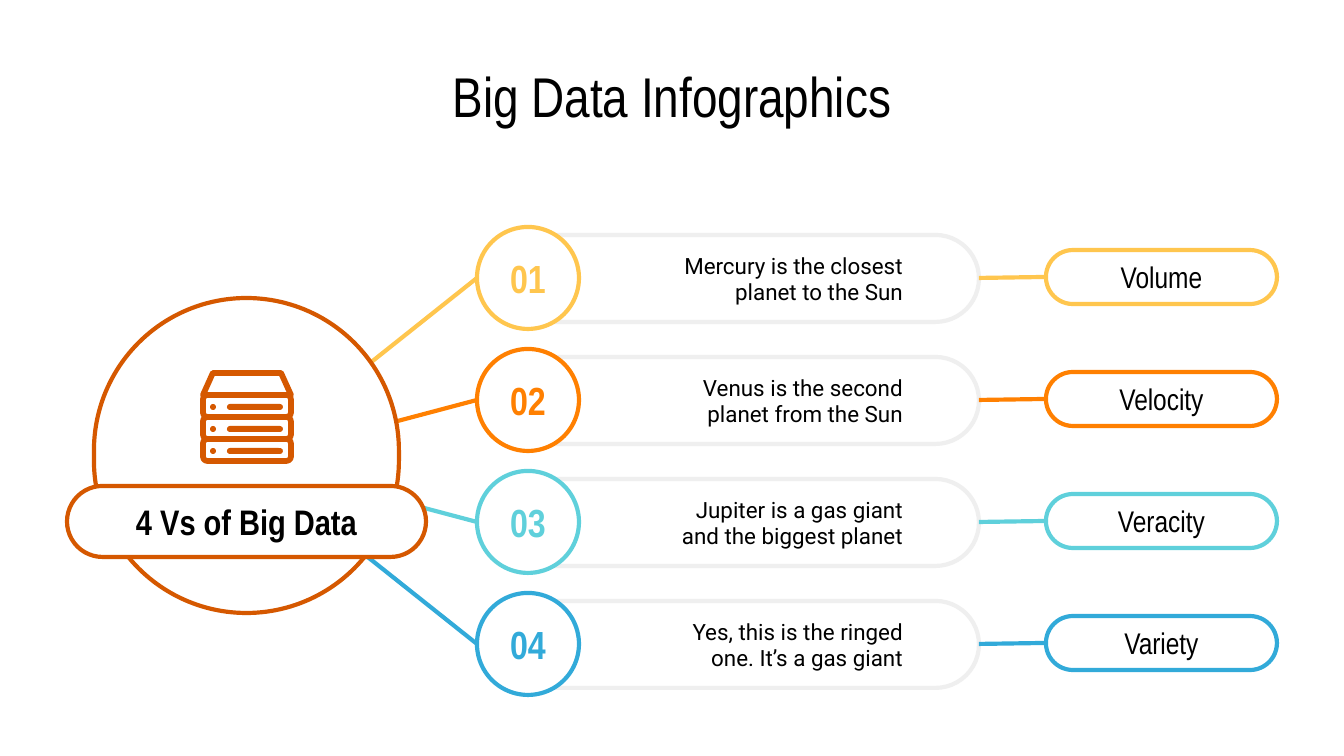
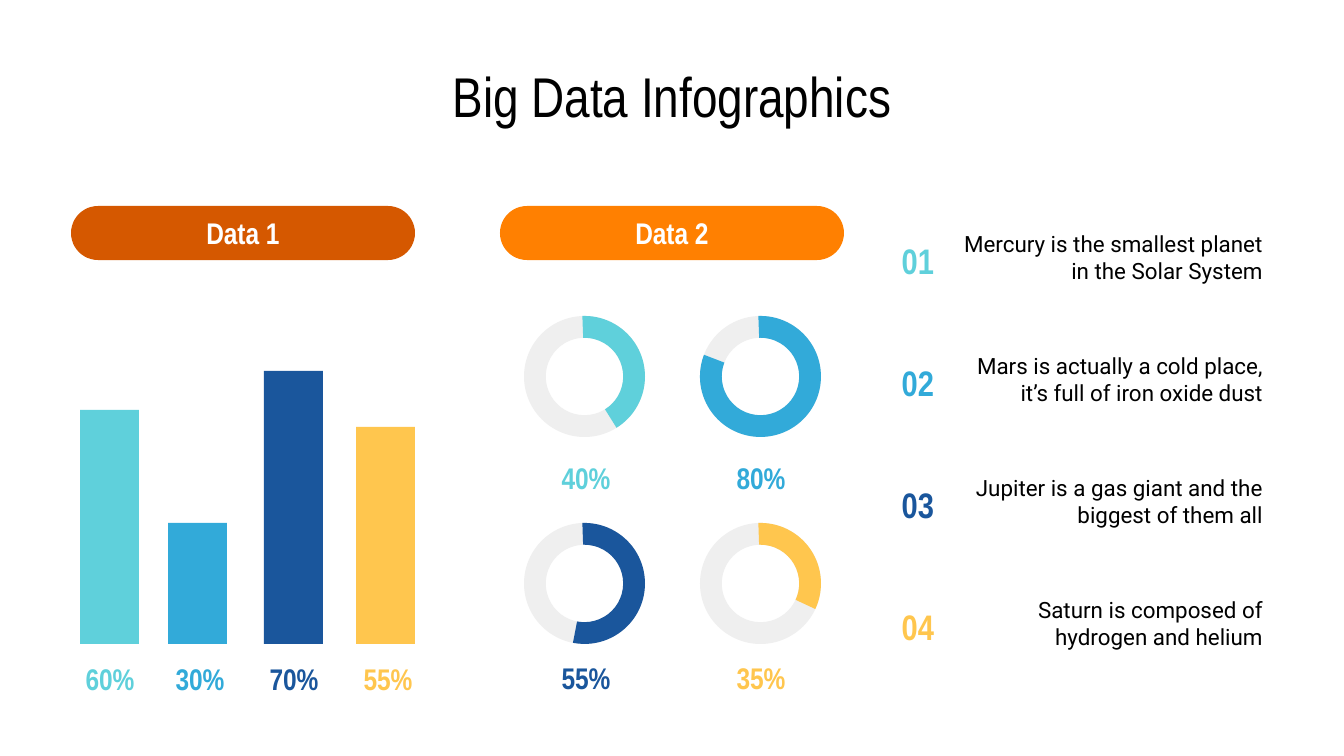
from pptx import Presentation
from pptx import util as u
from pptx.dml.color import RGBColor
from pptx.enum import shapes as kinds, text
from lxml import etree

PX = 914400 / 134.4
BLACK = RGBColor(0x00, 0x00, 0x00)
WHITE = RGBColor(0xFF, 0xFF, 0xFF)
GREY = RGBColor(0xEF, 0xEF, 0xEF)
RUST = RGBColor(0xD5, 0x58, 0x00)
ORANGE = RGBColor(0xFF, 0x80, 0x01)
GOLD = RGBColor(0xFF, 0xC6, 0x4E)
TEAL = RGBColor(0x5F, 0xD0, 0xDB)
SKY = RGBColor(0x32, 0xAA, 0xD9)
NAVY = RGBColor(0x1A, 0x56, 0x9C)
HEAD = "Arial Narrow"
BODY = "Roboto"
KIND = kinds.MSO_SHAPE
PILL = KIND.ROUNDED_RECTANGLE
ALIGN = text.PP_ALIGN
DRAW = "http://schemas.openxmlformats.org/drawingml/2006/main"


def add(group, kind, box, fill=None, line=None, width=2.25, adj=()):
    shape = group.add_shape(kind, *[round(n * PX) for n in box])
    shape.shadow.inherit = False
    if fill is None:
        shape.fill.background()
    else:
        shape.fill.solid()
        shape.fill.fore_color.rgb = fill
    if line is None:
        shape.line.fill.background()
    else:
        shape.line.color.rgb = line
        shape.line.width = u.Pt(width)
    for i, value in enumerate(adj):
        shape.adjustments[i] = value
    return shape


def write(shape, words, size, color, bold=False, face=HEAD, align=ALIGN.CENTER,
          left=13, right=13, space=None):
    frame = shape.text_frame
    frame.text = words
    frame.word_wrap = True
    frame.auto_size = text.MSO_AUTO_SIZE.NONE
    frame.vertical_anchor = text.MSO_ANCHOR.MIDDLE
    frame.margin_left, frame.margin_right = round(left * PX), round(right * PX)
    frame.margin_top = frame.margin_bottom = round(13 * PX)
    para = frame.paragraphs[0]
    para.alignment = align
    para.line_spacing = space
    para.font.size = u.Pt(size)
    para.font.name = face
    para.font.bold = bold
    para.font.color.rgb = color


deck = Presentation()
deck.slide_width, deck.slide_height = round(1344 * PX), round(756 * PX)
pages = []
for _ in range(2):
    page = deck.slides.add_slide(deck.slide_layouts[5])
    title = page.shapes.title
    title.left, title.top, title.width, title.height = [
        round(n * PX) for n in (67, 60, 1210, 71)]
    write(title, "Big Data Infographics", 30, BLACK)
    pages.append(page.shapes)
first, second = pages

rows = [
    ("Volume", "Mercury is the closest planet to the Sun", GOLD, (492, 266)),
    ("Velocity", "Venus is the second planet from the Sun", ORANGE, (477, 400)),
    ("Veracity", "Jupiter is a gas giant and the biggest planet", TEAL, (477, 522)),
    ("Variety", "Yes, this is the ringed one. It’s a gas giant", SKY, (477, 644)),
]
for i, (name, fact, color, end) in enumerate(rows):
    mid = 278 + 122 * i
    card = add(first, PILL, (492, mid - 43, 487, 87), WHITE, GREY, adj=[0.5])
    for ends in ((979, mid, 1046, mid - 1), (247, 461, *end)):
        link = first.add_connector(kinds.MSO_CONNECTOR.STRAIGHT,
                                   *[round(n * PX) for n in ends])
        link.line.color.rgb = color
        link.line.width = u.Pt(2.25)
        etree.SubElement(link._element.spPr, f"{{{DRAW}}}effectLst")
    pill = add(first, PILL, (1046, mid - 28, 231, 54), WHITE, color, adj=[0.5])
    write(pill, name, 16, BLACK)
    note = first.add_textbox(*[round(n * PX) for n in (586, mid - 30, 344, 61)])
    write(note, fact, 12, BLACK, face=BODY, align=ALIGN.RIGHT, left=81, right=27)
    disc = add(first, KIND.OVAL, (477, mid - 51, 102, 102), WHITE, color)
    write(disc, f"{i + 1:02}", 21, color, True, left=0, right=0)

add(first, PILL, (94, 298, 305, 315), WHITE, RUST, adj=[0.5])
server = first.add_group_shape().shapes
add(server, KIND.TRAPEZOID, (203, 373, 88, 22), line=RUST, width=3.1, adj=[0.45])
for i in range(3):
    top = 395 + 22 * i
    add(server, PILL, (203, top, 88, 22), line=RUST, width=3.1, adj=[0.2])
    add(server, KIND.OVAL, (210, top + 9, 6, 6), RUST)
    add(server, PILL, (227, top + 9, 56, 6), RUST, adj=[0.5])
band = add(first, PILL, (67, 486, 359, 71), WHITE, RUST, adj=[0.5])
write(band, "4 Vs of Big Data", 19, BLACK, True)

for name, left, color in (("Data 1", 71, RUST), ("Data 2", 500, ORANGE)):
    write(add(second, PILL, (left, 206, 344, 54), color, adj=[0.5]), name, 16, WHITE, True)

hues = [TEAL, SKY, NAVY, GOLD]
bars = [("60%", 80, 234, 67), ("30%", 168, 121, 157),
        ("70%", 264, 273, 251), ("55%", 356, 217, 345)]
rings = [("40%", 58), ("80%", 201), ("55%", 101), ("35%", 25)]
facts = [
    "Mercury is the smallest planet in the Solar System",
    "Mars is actually a cold place, it’s full of iron oxide dust",
    "Jupiter is a gas giant and the biggest of them all",
    "Saturn is composed of hydrogen and helium",
]
for i, color in enumerate(hues):
    part, left, tall, edge = bars[i]
    add(second, KIND.RECTANGLE, (left, 644 - tall, 59, tall), color)
    share, stop = rings[i]
    row, col = divmod(i, 2)
    spot = (524 + 176 * col, 316 + 207 * row, 121, 121)
    add(second, KIND.DONUT, spot, GREY, adj=[0.18])
    add(second, KIND.BLOCK_ARC, spot, color, adj=[268 * 0.6, stop * 0.6, 0.18])
    labels = [
        (part, (edge, 656, 86, 40), 16, ALIGN.CENTER),
        (share, (543 + 175 * col, 453 + 200 * row, 86, 43), 16, ALIGN.CENTER),
        (f"{i + 1:02}", (876, 215 + 122 * i, 71, 85), 19, ALIGN.RIGHT),
    ]
    for words, box, size, align in labels:
        label = second.add_textbox(*[round(n * PX) for n in box])
        write(label, words, size, color, True, align=align, space=1.15)
    note = second.add_textbox(*[round(n * PX) for n in (947, 215 + 122 * i, 329, 85)])
    write(note, facts[i], 12, BLACK, face=BODY, align=ALIGN.RIGHT)

deck.save("out.pptx")
